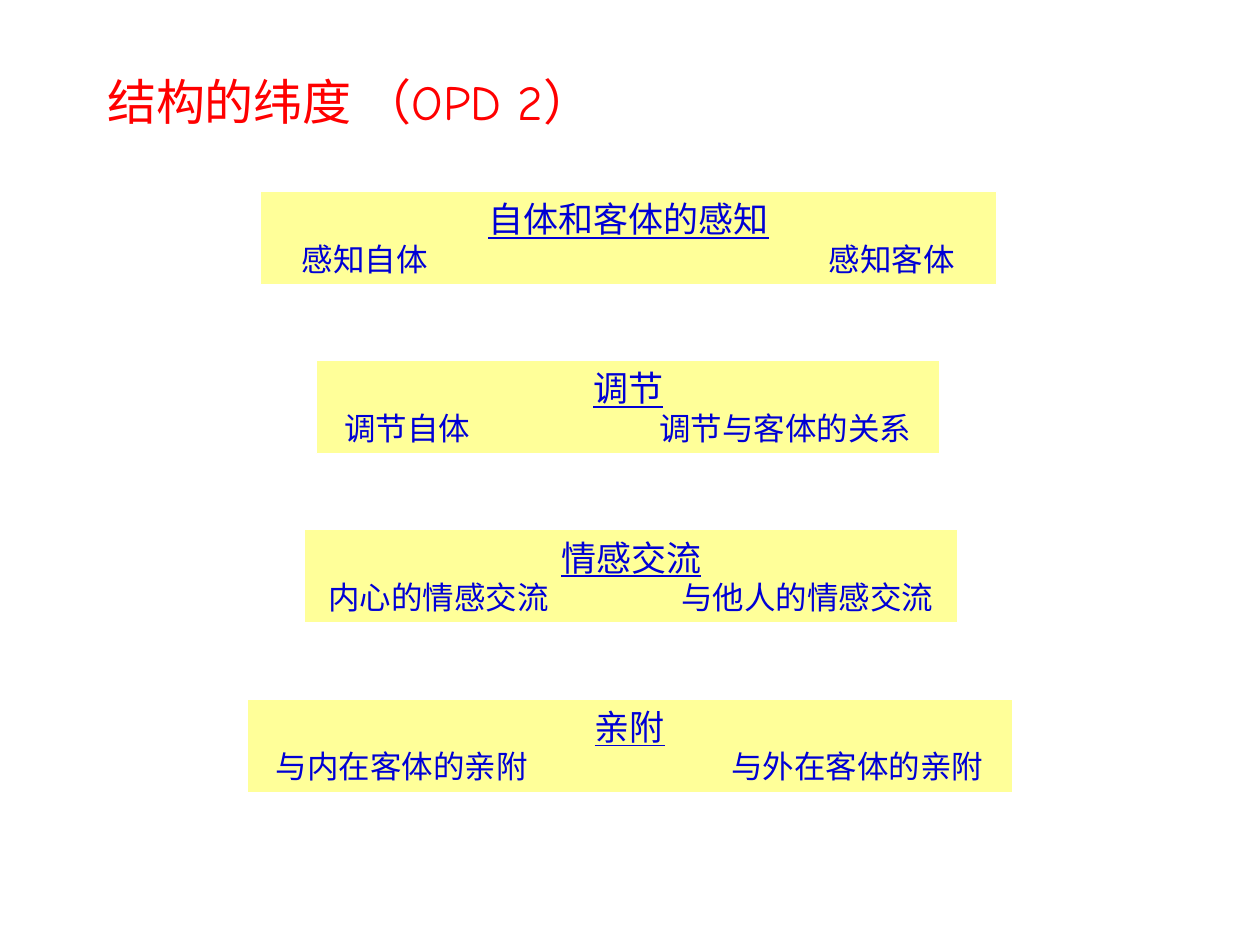
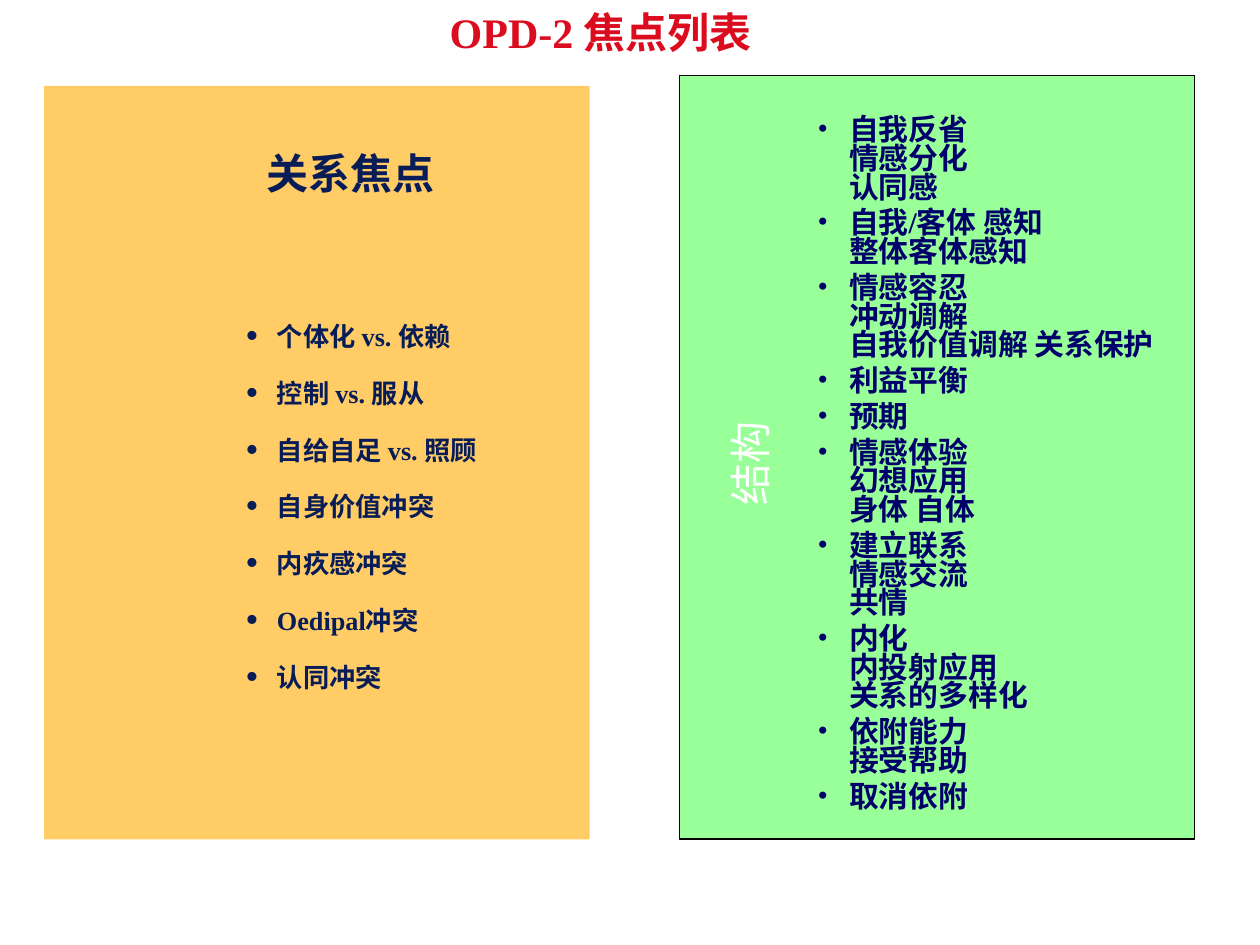
import copy
import pptx
import pptx.dml.color
import pptx.enum.shapes
import pptx.enum.text
import pptx.oxml.ns
import pptx.util
from lxml import etree

Pt = pptx.util.Pt
qn = pptx.oxml.ns.qn
ALIGN = pptx.enum.text.PP_ALIGN
COLOURS = {
    "title_red": "FF0000", "focus_red": "DB0C1E", "blue": "0000D5",
    "navy": "00006A", "ink": "081D58", "white": "FFFFFF", "black": "000000",
    "yellow": "FFFF99", "green": "99FF99", "orange": "FFCC66",
}
SERIF = "Times New Roman"


def rgb(name):
    return pptx.dml.color.RGBColor.from_string(COLOURS[name])


class Deck:
    def __init__(self):
        self.presentation = pptx.Presentation()
        self.presentation.slide_width = Pt(720)
        self.presentation.slide_height = Pt(540)
        self.slide = None

    def add_slide(self):
        self.slide = self.presentation.slides.add_slide(self.presentation.slide_layouts[5])

    def place(self, shape, box):
        for name, value in zip(("left", "top", "width", "height"), box):
            setattr(shape, name, Pt(value))

    def frame(self, shape, side=7.2, top=3.6, wrap=True):
        settings = {
            "margin_left": Pt(side), "margin_right": Pt(side),
            "margin_top": Pt(top), "margin_bottom": Pt(3.6), "word_wrap": wrap,
            "vertical_anchor": pptx.enum.text.MSO_ANCHOR.TOP,
            "auto_size": pptx.enum.text.MSO_AUTO_SIZE.NONE,
        }
        for name, value in settings.items():
            setattr(shape.text_frame, name, value)

    def set_text(self, paragraph, text, size, colour, font=SERIF, layout=None, **style):
        paragraph.text = text
        for name, value in {"alignment": ALIGN.LEFT, **(layout or {})}.items():
            setattr(paragraph, name, value)
        for run in paragraph.runs:
            for name, value in {"name": font, "size": Pt(size), **style}.items():
                setattr(run.font, name, value)
            run.font.color.rgb = rgb(colour)
        for line_break in paragraph._p.findall(qn("a:br")):
            line_break.append(copy.deepcopy(paragraph.runs[0]._r.rPr))

    def title(self, text, box, size, colour, wrap=True, **style):
        shape = self.slide.shapes.title
        self.place(shape, box)
        self.frame(shape, wrap=wrap)
        self.set_text(shape.text_frame.paragraphs[0], text, size, colour, **style)

    def panel(self, box, fill, line=None, **insets):
        shape = self.slide.shapes.add_shape(
            pptx.enum.shapes.MSO_SHAPE.RECTANGLE, *map(Pt, box))
        shape.shadow.inherit = False
        shape.fill.solid()
        shape.fill.fore_color.rgb = rgb(fill)
        if line:
            shape.line.color.rgb = rgb(line)
            shape.line.width = Pt(0.75)
        else:
            shape.line.fill.background()
        self.frame(shape, **insets)
        return shape.text_frame

    def indent(self, paragraph, margin, hanging=0):
        properties = paragraph._p.get_or_add_pPr()
        properties.set("marL", str(Pt(margin)))
        properties.set("indent", str(Pt(-hanging)))
        return properties

    def bullet(self, paragraph, margin, colour, percent=100):
        properties = self.indent(paragraph, margin, 18)
        bullet_colour = etree.SubElement(properties, qn("a:buClr"))
        etree.SubElement(bullet_colour, qn("a:srgbClr"), val=COLOURS[colour])
        etree.SubElement(properties, qn("a:buSzPct"), val=str(percent * 1000))
        etree.SubElement(properties, qn("a:buFont"), typeface=SERIF)
        etree.SubElement(properties, qn("a:buChar"), char="•")

    def dimension(self, box, side, heading, own, other):
        text_frame = self.panel(box, "yellow", "white", side=side)
        self.set_text(text_frame.paragraphs[0], heading, 20, "blue",
                      layout={"alignment": ALIGN.CENTER}, underline=True)
        pair = text_frame.add_paragraph()
        tabs = etree.SubElement(pair._p.get_or_add_pPr(), qn("a:tabLst"))
        edge = Pt(box[2] - 2 * side - 0.5)
        etree.SubElement(tabs, qn("a:tab"), pos=str(edge), algn="r")
        self.set_text(pair, f"{own}\t{other}", 18, "blue")

    def bullets(self, paragraphs, items, gaps, margin, size, colour, percent=100):
        for paragraph, item, gap in zip(paragraphs, items, gaps):
            self.bullet(paragraph, margin, colour, percent)
            layout = {"line_spacing": 0.8, "space_before": Pt(gap)}
            self.set_text(paragraph, item, size, colour, layout=layout, bold=True)

    def label(self, text, box, size, colour, rotation):
        shape = self.slide.shapes.add_textbox(*map(Pt, box))
        shape.rotation = rotation
        self.frame(shape, wrap=False)
        self.set_text(shape.text_frame.paragraphs[0], text, size, colour)


def structure_slide(deck):
    deck.add_slide()
    deck.title("结构的纬度 （OPD 2）", (54, 37.4, 604.8, 41), 28, "title_red", font="Comic Neue")
    dimensions = [
        (149, 420.5, 23.5, "自体和客体的感知", "感知自体", "感知客体"),
        (180.7, 356.4, 16, "调节", "调节自体", "调节与客体的关系"),
        (174.2, 373, 13.5, "情感交流", "内心的情感交流", "与他人的情感交流"),
        (141.1, 437.8, 16.5, "亲附", "与内在客体的亲附", "与外在客体的亲附"),
    ]
    for row, (left, width, side, *texts) in enumerate(dimensions):
        deck.dimension((left, 109.4 + row * 96.7, width, 53.3), side, *texts)


def focus_slide(deck):
    deck.add_slide()
    deck.title("OPD-2 焦点列表", (249.8, 0, 193, 36), 24, "focus_red", wrap=False, bold=True)

    structure = [
        "自我反省\n情感分化\n认同感", "自我/客体 感知\n整体客体感知",
        "情感容忍\n冲动调解\n自我价值调解 关系保护", "利益平衡", "预期",
        "情感体验\n幻想应用\n身体 自体", "建立联系\n情感交流\n共情",
        "内化\n内投射应用\n关系的多样化", "依附能力\n接受帮助", "取消依附",
    ]
    text_frame = deck.panel((388.1, 43.2, 294.5, 436.3), "green", "black", top=24.3)
    paragraphs = [text_frame.paragraphs[0]]
    paragraphs += [text_frame.add_paragraph() for _ in structure[1:]]
    gaps = [0] + [4.2] * (len(structure) - 1)
    deck.bullets(paragraphs, structure, gaps, 90, 17, "navy")
    deck.label("结构", (397.4, 247, 62, 36), 24, "white", 270)

    conflicts = ["个体化 vs. 依赖", "控制 vs. 服从", "自给自足 vs. 照顾", "自身价值冲突",
                 "内疚感冲突", "Oedipal冲突", "认同冲突"]
    text_frame = deck.panel((25.2, 49, 311.8, 430.6), "orange", top=40.8)
    heading = text_frame.paragraphs[0]
    deck.indent(heading, 120)
    deck.set_text(heading, "关系焦点", 24, "ink", layout={"line_spacing": 0.8}, bold=True)
    paragraphs = [text_frame.add_paragraph() for _ in conflicts]
    gaps = [73.5] + [18.1] * (len(conflicts) - 1)
    deck.bullets(paragraphs, conflicts, gaps, 126, 15, "ink", 145)


def main():
    deck = Deck()
    structure_slide(deck)
    focus_slide(deck)
    deck.presentation.save("out.pptx")


if __name__ == "__main__":
    main()
